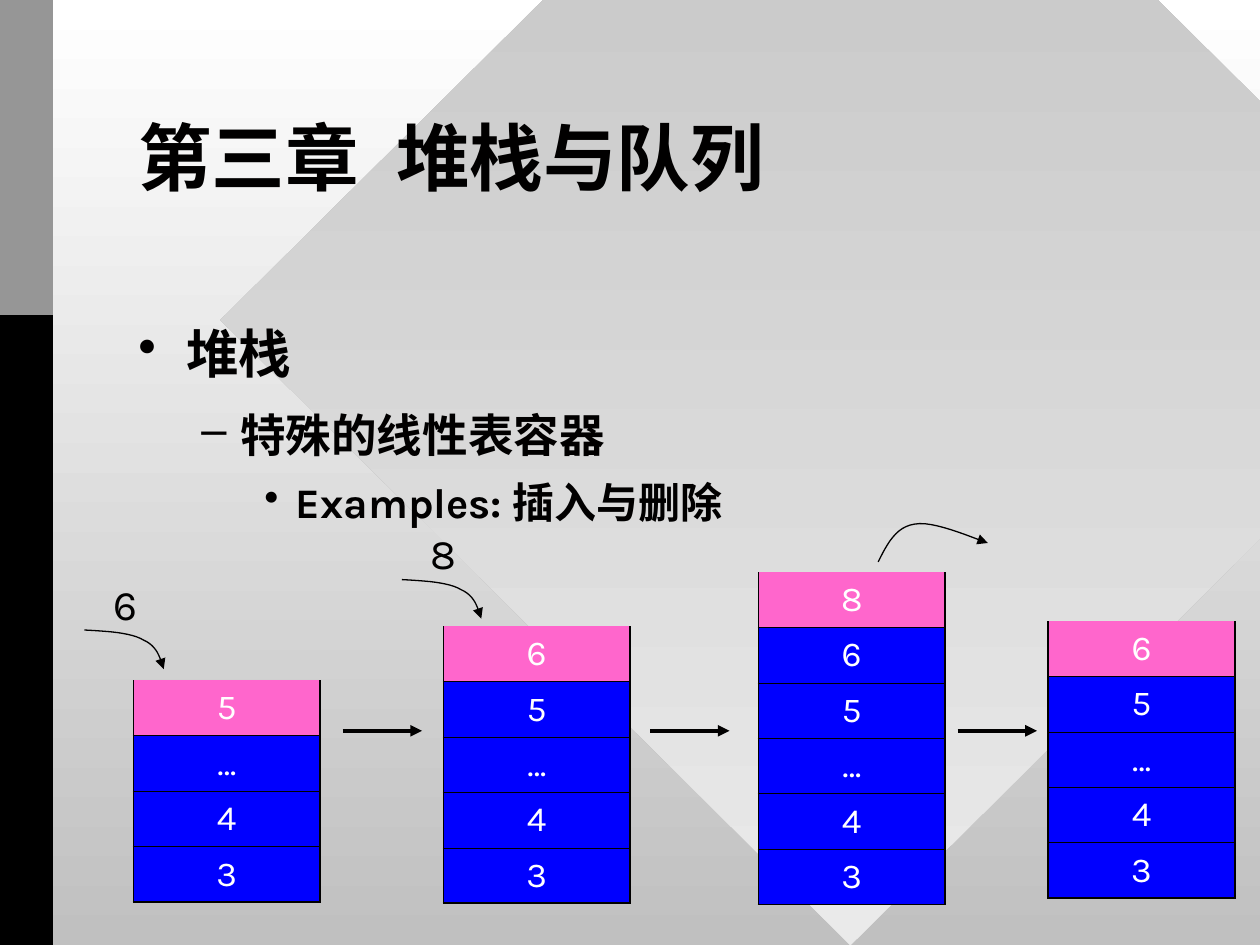
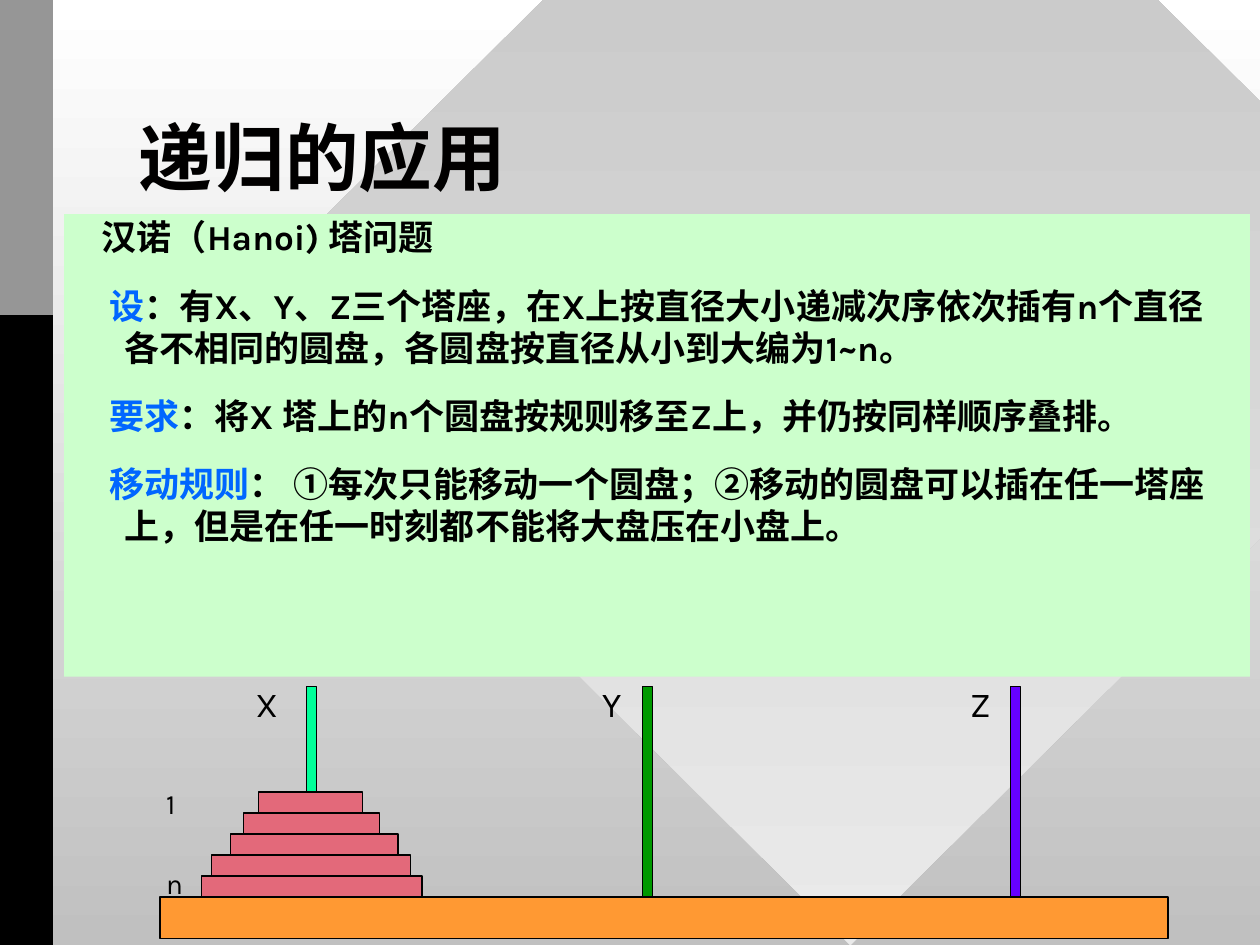
from dataclasses import dataclass

from lxml import etree
from pptx import Presentation
from pptx.dml.color import RGBColor
from pptx.enum.shapes import MSO_CONNECTOR, MSO_SHAPE
from pptx.enum.text import MSO_ANCHOR, PP_ALIGN
from pptx.oxml.ns import qn
from pptx.util import Inches, Pt

RECT, DIAMOND = MSO_SHAPE.RECTANGLE, MSO_SHAPE.DIAMOND
STRAIGHT = MSO_CONNECTOR.STRAIGHT
TOP, MIDDLE = MSO_ANCHOR.TOP, MSO_ANCHOR.MIDDLE
LEFT, CENTER, JUSTIFY = PP_ALIGN.LEFT, PP_ALIGN.CENTER, PP_ALIGN.JUSTIFY


@dataclass(frozen=True)
class Theme:
    font: str = "Karla"
    ink: str = "010000"
    black: str = "000000"
    white: str = "FFFFFF"
    band: str = "969696"
    back: tuple = ("FFFFFF", "C0C0C0")
    diamond: tuple = ("C0C0C0", "EAEAEA")
    top_cell: str = "FF66CC"
    cell: str = "0000FF"
    panel: str = "CCFFCC"
    keyword: str = "0066FF"
    base: str = "FF9933"
    disc: str = "E3697A"
    title_pt: float = 42
    value_pt: float = 24
    text_pt: float = 20
    small_pt: float = 16
    thin: float = 0.75
    thick: float = 2.25
    side: float = 1.08
    rule: float = 0.45


T = Theme()

# Content: stack slide
STACK_TITLE = "第三章  堆栈与队列"
# text, size, left margin, hanging indent, bullet, space before, line spacing
OUTLINE = [
    ("堆栈", 30, 0.38, 0.38, "•", 22.5, 1),
    ("特殊的线性表容器", 26, 0.81, 0.31, "–", 13, 1),
    ("Examples: 插入与删除", 24, 1.25, 0.25, "•", 10.5, 0.95),
]
# left, top, values from the top of the stack down
STACKS = [
    (1.06, 5.4, "5…43"),
    (3.52, 4.97, "65…43"),
    (6.02, 4.54, "865…43"),
    (8.32, 4.93, "65…43"),
]
CELL_W, CELL_H = 1.48, 0.44
PUSHED = [("6", 0.8, 4.54), ("8", 3.32, 4.14)]
PUSH_FROM_VALUE = (-0.13, 0.46)
PUSH_CURVE = [(0, 0), (0.18, 0.01), (0.37, 0.02), (0.47, 0.08),
              (0.58, 0.13), (0.6, 0.22), (0.63, 0.31)]
POP_AT = (6.97, 4.46)
POP_CURVE = [(0, 0), (0.07, -0.14), (0.14, -0.28), (0.29, -0.3),
             (0.43, -0.33), (0.73, -0.2), (0.87, -0.15)]
ARROW_X, ARROW_STEP, ARROW_LEN, ARROW_Y = 2.72, 2.44, 0.63, 5.8

# Content: Hanoi slide
HANOI_TITLE = "递归的应用"
HANOI_HEAD = "汉诺（Hanoi) 塔问题"
HANOI_RULES = [
    ("设", "：有X、Y、Z三个塔座，在X上按直径大小递减次序依次插有n个直径各不相同的圆盘，"
           "各圆盘按直径从小到大编为1~n。"),
    ("要求", "：将X 塔上的n个圆盘按规则移至Z上，并仍按同样顺序叠排。"),
    ("移动规则", "： ①每次只能移动一个圆盘；②移动的圆盘可以插在任一塔座上，"
               "但是在任一时刻都不能将大盘压在小盘上。"),
]
# name, label left, peg left, colour
PEGS = [("X", 1.93, 2.43, "00FF99"), ("Y", 4.68, 5.1, "009900"), ("Z", 7.6, 8.02, "6600FF")]
# left, width, from the bottom up
DISCS = [(1.6, 1.75), (1.68, 1.58), (1.83, 1.33), (1.93, 1.08), (2.05, 0.83)]
DISC_H = 1 / 6
BASE = (1.27, 7.12, 8, 0.33)
DISC_LABELS = [("1", 6.19), ("n", 6.83)]


def rgb(hex_code):
    return RGBColor.from_string(hex_code)


def gradient(fill, colours):
    """Fill from top to bottom."""
    fill.gradient()
    fill.gradient_angle = 270
    for stop, colour in zip(fill.gradient_stops, colours):
        stop.color.rgb = rgb(colour)


def solid(fill, colour):
    fill.solid()
    fill.fore_color.rgb = rgb(colour)


def stroke(line, colour, width, arrow=False):
    solid(line.fill, colour)
    line.width = Pt(width)
    if arrow:
        etree.SubElement(line._get_or_add_ln(), qn("a:tailEnd"), type="triangle")


def shape(s, kind, box, colour=None, outline=None):
    sp = s.shapes.add_shape(kind, *map(Inches, box))
    sp.shadow.inherit = False
    if colour:
        solid(sp.fill, colour)
    if outline:
        stroke(sp.line, outline, T.thin)
    else:
        sp.line.fill.background()
    return sp


def style(p, size, colour, bold=False, align=LEFT, before=0, spacing=1,
          margin=0, indent=0, bullet=None):
    p.alignment, p.space_before, p.line_spacing = align, Pt(before), spacing
    f = p.font
    f.name, f.size, f.bold = T.font, Pt(size), bold
    f.color.rgb = rgb(colour)
    pPr = p._p.get_or_add_pPr()
    pPr.set("marL", str(Inches(margin)))
    pPr.set("indent", str(Inches(indent)))
    defaults = pPr.find(qn("a:defRPr"))
    etree.SubElement(defaults, qn("a:ea"), typeface=T.font)
    if bullet:
        mark = etree.Element(qn("a:buChar"), char=bullet)
        defaults.addprevious(mark)


def frame(s, box, anchor=TOP):
    """Add a wrapping text box."""
    sp = s.shapes.add_textbox(*map(Inches, box))
    sp.text_frame.word_wrap = True
    sp.text_frame.vertical_anchor = anchor
    return sp


def label(s, text, box, size, colour, anchor=TOP, **look):
    p = frame(s, box, anchor).text_frame.paragraphs[0]
    p.text = text
    style(p, size, colour, **look)


def paragraphs(tf, count):
    return [tf.paragraphs[0]] + [tf.add_paragraph() for _ in range(count - 1)]


def base_slide(prs, title):
    """Blank slide with the shared background, side band and title."""
    s = prs.slides.add_slide(prs.slide_layouts[6])
    gradient(s.background.fill, T.back)
    gradient(shape(s, DIAMOND, (1.75, -2.42, 10, 9.92)).fill, T.diamond)
    shape(s, RECT, (0, 0, 0.42, 7.5), T.black)
    shape(s, RECT, (0, 0, 0.42, 2.5), T.band)
    label(s, title, (1, 0.67, 8, 1.25), T.title_pt, T.ink, MIDDLE, bold=True, spacing=0.85)
    return s


def border(tcPr, side, width):
    ln = etree.SubElement(tcPr, qn("a:" + side), w=str(Pt(width)))
    if width:
        fill = etree.SubElement(ln, qn("a:solidFill"))
        etree.SubElement(fill, qn("a:srgbClr"), val=T.ink)
    else:
        etree.SubElement(ln, qn("a:noFill"))


def stack(s, x, y, values):
    n = len(values)
    box = map(Inches, (x, y, CELL_W, CELL_H * n))
    table = s.shapes.add_table(n, 1, *box).table
    table.first_row = table.horz_banding = False
    for i, value in enumerate(values):
        table.rows[i].height = Inches(CELL_H)
        cell = table.cell(i, 0)
        tcPr = cell._tc.get_or_add_tcPr()
        border(tcPr, "lnL", T.side)
        border(tcPr, "lnR", T.side)
        border(tcPr, "lnT", T.rule if i else 0)
        border(tcPr, "lnB", T.side if i == n - 1 else T.rule)
        solid(cell.fill, T.cell if i else T.top_cell)
        cell.vertical_anchor = MIDDLE
        p = cell.text_frame.paragraphs[0]
        p.text = value
        style(p, T.text_pt, T.white, align=CENTER)


def bezier(points, steps=12):
    """Points along a chain of cubic curves."""
    for k in range(0, len(points) - 1, 3):
        for j in range(1, steps + 1):
            t = j / steps
            weights = ((1 - t) ** 3, 3 * t * (1 - t) ** 2, 3 * t * t * (1 - t), t ** 3)
            yield tuple(sum(w * c for w, c in zip(weights, axis))
                        for axis in zip(*points[k:k + 4]))


def curved_arrow(s, x, y, curve):
    builder = s.shapes.build_freeform(Inches(x), Inches(y))
    builder.add_line_segments(
        [(Inches(x + dx), Inches(y + dy)) for dx, dy in bezier(curve)], close=False)
    sp = builder.convert_to_shape()
    sp.shadow.inherit = False
    sp.fill.background()
    stroke(sp.line, T.ink, T.thin, arrow=True)


def straight_arrow(s, x, y, length):
    c = s.shapes.add_connector(STRAIGHT, *map(Inches, (x, y, x + length, y)))
    stroke(c.line, T.ink, T.thick, arrow=True)
    etree.SubElement(c._element.spPr, qn("a:effectLst"))


def stack_slide(prs):
    s = base_slide(prs, STACK_TITLE)
    # Outline
    tf = frame(s, (1, 2.5, 8.25, 4)).text_frame
    for p, (text, size, margin, hang, bullet, before, spacing) in zip(
            paragraphs(tf, len(OUTLINE)), OUTLINE):
        p.text = text
        style(p, size, T.ink, bold=True, before=before, spacing=spacing,
              margin=margin, indent=-hang, bullet=bullet)
    # Stack states and the steps between them
    for x, y, values in STACKS:
        stack(s, x, y, values)
    for i in range(len(STACKS) - 1):
        straight_arrow(s, ARROW_X + i * ARROW_STEP, ARROW_Y, ARROW_LEN)
    # Pushes and the pop
    dx, dy = PUSH_FROM_VALUE
    for value, x, y in PUSHED:
        label(s, value, (x, y, 0.39, 0.5), T.value_pt, T.ink)
        curved_arrow(s, x + dx, y + dy, PUSH_CURVE)
    curved_arrow(s, *POP_AT, POP_CURVE)


def hanoi_slide(prs):
    s = base_slide(prs, HANOI_TITLE)
    # Problem statement
    panel = frame(s, (0.51, 1.7, 9.41, 3.67))
    solid(panel.fill, T.panel)
    head, *rules = paragraphs(panel.text_frame, 1 + len(HANOI_RULES))
    head.text = HANOI_HEAD
    style(head, T.text_pt, T.black, bold=True, align=JUSTIFY, spacing=0.9, margin=0.2)
    for p, (keyword, text) in zip(rules, HANOI_RULES):
        r = p.add_run()
        r.text = keyword
        r.font.color.rgb = rgb(T.keyword)
        p.add_run().text = text
        style(p, T.text_pt, T.black, bold=True, before=15, margin=0.38, indent=-0.12)
    # Pegs, base and discs
    for name, label_x, x, colour in PEGS:
        shape(s, RECT, (x, 5.45, 0.08, 2), colour, T.black)
        label(s, name, (label_x, 5.37, 0.5, 0.44), T.text_pt, T.black)
    shape(s, RECT, BASE, T.base, T.black)
    for i, (x, width) in enumerate(DISCS, 1):
        shape(s, RECT, (x, BASE[1] - i * DISC_H, width, DISC_H), T.disc, T.black)
    for text, y in DISC_LABELS:
        label(s, text, (1.22, y, 0.42, 0.36), T.small_pt, T.black)


def main():
    prs = Presentation()
    prs.slide_width, prs.slide_height = Inches(10), Inches(7.5)
    stack_slide(prs)
    hanoi_slide(prs)
    prs.save("out.pptx")


if __name__ == "__main__":
    main()
